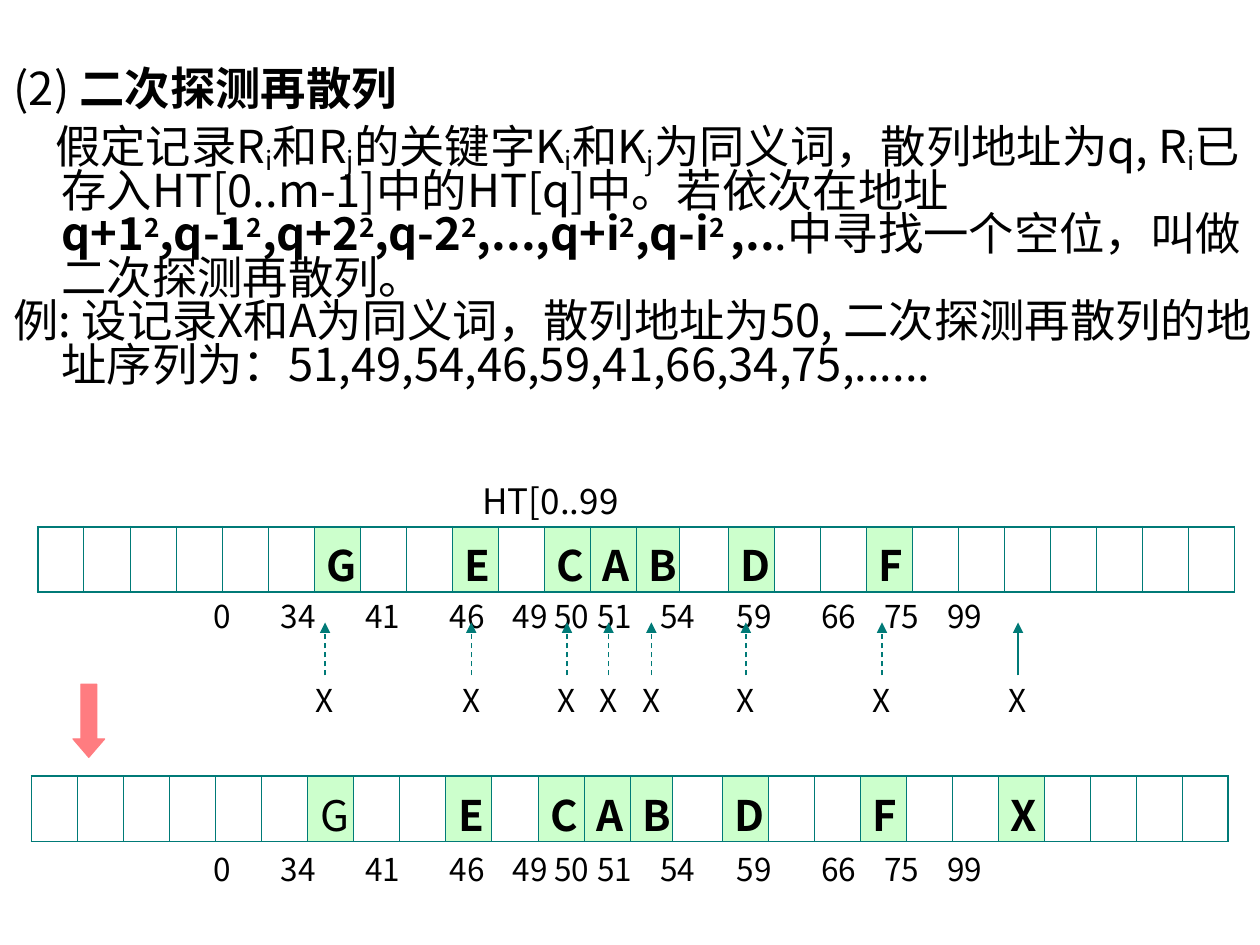
from lxml import etree
from pptx import Presentation
from pptx.dml.color import RGBColor
from pptx.enum.dml import MSO_LINE
from pptx.enum.shapes import MSO_CONNECTOR, MSO_SHAPE
from pptx.oxml.ns import qn
from pptx.util import Inches, Pt

BLACK = RGBColor(0x00, 0x00, 0x00)
TEAL = RGBColor(0x00, 0x7A, 0x77)
PALE_GREEN = RGBColor(0xCC, 0xFF, 0xCC)
CORAL = RGBColor(0xFF, 0x7C, 0x80)
STRAIGHT = MSO_CONNECTOR.STRAIGHT
DOWN_ARROW = MSO_SHAPE.DOWN_ARROW
DASH = MSO_LINE.DASH
FONT = "Noto Sans CJK SC"
SUB, SUP = -16, 30
CELL_COUNT = 26


def add_span(para, text, size, bold=False, baseline=0):
    span = para.add_run()
    span.text = text
    span.font.size = Pt(size)
    span.font.bold = bold
    span.font.name = FONT
    span.font.color.rgb = BLACK
    properties = span._r.get_or_add_rPr()
    etree.SubElement(properties, qn("a:ea"), typeface=FONT)
    if baseline:
        properties.set("baseline", str(baseline * 1000))


def add_label(left, top, width, height, text, size):
    box = page.shapes.add_textbox(Inches(left), Inches(top), Inches(width), Inches(height))
    box.text_frame.word_wrap = False
    add_span(box.text_frame.paragraphs[0], text, size)
    return box


deck = Presentation()
deck.slide_width, deck.slide_height = Inches(10), Inches(7.5)
page = deck.slides.add_slide(deck.slide_layouts[6])

# Explanation: (text, bold, baseline) for each span
heading = [("(2) ", False, 0), ("二次探测再散列", True, 0)]
definition = [
    ("假定记录R", False, 0), ("i", False, SUB),
    ("和R", False, 0), ("j", False, SUB),
    ("的关键字K", False, 0), ("i", False, SUB),
    ("和K", False, 0), ("j", False, SUB),
    ("为同义词，散列地址为q, R", False, 0), ("i", False, SUB),
    ("已存入HT[0..m-1]中的HT[q]中。若依次在地址", False, 0),
]
for step in ("q+1", ",q-1", ",q+2", ",q-2", ",...,q+i", ",q-i"):
    definition += [(step, True, 0), ("2 " if step == ",q-i" else "2", True, SUP)]
definition += [(",..", True, 0), (".中寻找一个空位，叫做二次探测再散列。", False, 0)]
example = [("例: 设记录X和A为同义词，散列地址为50, 二次探测再散列的地址序列为："
            "51,49,54,46,59,41,66,34,75,......", False, 0)]

body = page.shapes.add_textbox(Inches(0.01), Inches(0.51), Inches(10.03), Inches(3))
body.text_frame.word_wrap = True
for number, (spans, indent, space) in enumerate(
        [(heading, -0.38, 0), (definition, -0.05, 7), (example, -0.38, 0)]):
    para = body.text_frame.paragraphs[0] if number == 0 else body.text_frame.add_paragraph()
    para.line_spacing = 0.8
    para.space_before = Pt(space)
    properties = para._p.get_or_add_pPr()
    properties.set("marL", str(Inches(0.38)))
    properties.set("indent", str(Inches(indent)))
    for text, bold, baseline in spans:
        add_span(para, text, 25.9, bold, baseline)

add_label(3.73, 3.76, 1.37, 0.44, "HT[0..99]", 20)

# Hash table before and after the insertion of X
before = {6: "G", 9: "E", 11: "C", 12: "A", 13: "B", 15: "D", 18: "F"}
after = before | {21: "X"}
addresses = [0, 34, 41, 46, 49, 50, 51, 54, 59, 66, 75, 99]
address_stops = [0.53, 1.2, 1.87, 2.37, 2.7, 3.04, 3.54, 4.15, 4.82, 5.32, 5.82]

for left, top, label_top, records, plain in [
        (0.3, 4.18, 4.69, before, ""), (0.25, 6.16, 6.7, after, "G")]:
    table = page.shapes.add_table(
        1, CELL_COUNT, Inches(left), Inches(top), Inches(9.5), Inches(0.52)).table
    table.first_row = table.horz_banding = False
    for column in range(CELL_COUNT):
        width = {13: 0.34, 14: 0.39}.get(column, 9.5 / CELL_COUNT)
        table.columns[column].width = Inches(width)
        cell = table.cell(0, column)
        cell.margin_top, cell.margin_bottom = Inches(0.05), Inches(0)
        properties = cell._tc.get_or_add_tcPr()
        outer = {"lnL": column == 0, "lnR": column == CELL_COUNT - 1, "lnT": True, "lnB": True}
        for side, thick in outer.items():
            border = etree.SubElement(
                properties, qn(f"a:{side}"), w=str(Pt(1.08 if thick else 0.45)))
            fill = etree.SubElement(border, qn("a:solidFill"))
            etree.SubElement(fill, qn("a:srgbClr"), val=str(TEAL))
        if column in records:
            cell.fill.solid()
            cell.fill.fore_color.rgb = PALE_GREEN
            record = records[column]
            add_span(cell.text_frame.paragraphs[0], record, 24, record != plain)
        else:
            cell.fill.background()

    label = add_label(1.6, label_top, 6.87, 0.4, "\t".join(map(str, addresses)), 18)
    label.text_frame.word_wrap = True
    properties = label.text_frame.paragraphs[0]._p.get_or_add_pPr()
    stops = etree.SubElement(properties, qn("a:tabLst"))
    for stop in address_stops:
        etree.SubElement(stops, qn("a:tab"), pos=str(Inches(stop)), algn="l")

# Probes of X, the last one successful
probe_lefts = [2.41, 3.57, 4.33, 4.66, 5, 5.75, 6.83, 7.91]
for left in probe_lefts:
    box = add_label(left, 5.36, 0.34, 0.4, "X", 18)
    center = Inches(left + 0.17)
    probe = page.shapes.add_connector(STRAIGHT, center, Inches(5.36), center, Inches(4.94))
    probe.begin_connect(box, 0)
    probe.line.color.rgb = TEAL
    probe.line.width = Pt(0.75)
    if left != probe_lefts[-1]:
        probe.line.dash_style = DASH
    etree.SubElement(probe.line._get_or_add_ln(), qn("a:tailEnd"), type="triangle")
    etree.SubElement(probe._element.spPr, qn("a:effectLst"))

arrow = page.shapes.add_shape(DOWN_ARROW, Inches(0.58), Inches(5.43), Inches(0.25), Inches(0.58))
arrow.adjustments[0], arrow.adjustments[1] = 0.5, 0.58
arrow.shadow.inherit = False
arrow.fill.solid()
arrow.fill.fore_color.rgb = CORAL
arrow.line.color.rgb = CORAL
arrow.line.width = Pt(0.75)

deck.save("out.pptx")
